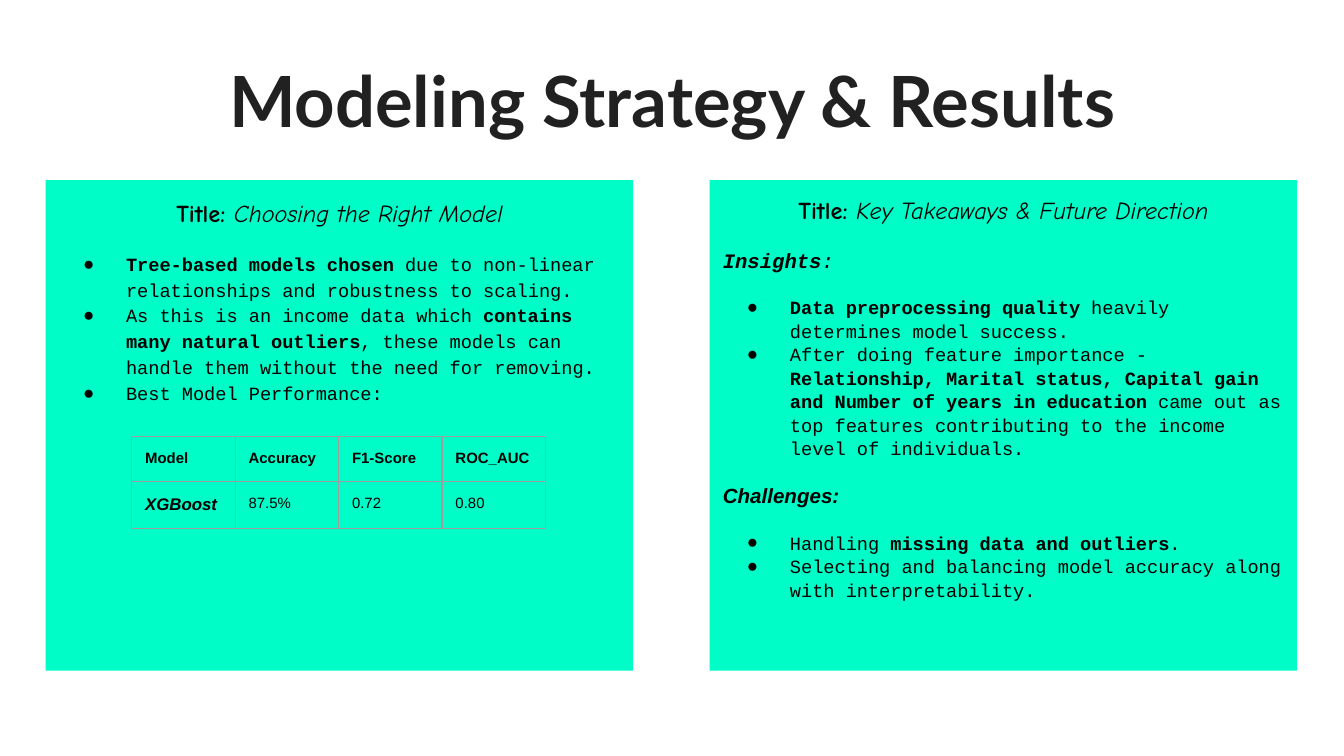
from lxml.etree import SubElement
from pptx import Presentation
from pptx.dml.color import RGBColor
from pptx.enum.shapes import MSO_SHAPE as SHAPE
from pptx.enum.text import MSO_ANCHOR as ANCHOR, PP_ALIGN as ALIGN
from pptx.oxml.ns import qn
from pptx.util import Inches, Pt

COLORS = {"title": "212121", "text": "000000", "panel": "00FDC8", "border": "9E9E9E"}
MONO = "Courier New"


def write(frame, spans, first=False, size=10, font=MONO, color="text",
          align=ALIGN.LEFT, spacing=1.0, before=0, bullet=False):
    """Add one paragraph; spans are (text, style), style holding b and/or i."""
    para = frame.paragraphs[0] if first else frame.add_paragraph()
    para.alignment = align
    para.line_spacing = spacing
    para.space_before = Pt(before)
    if bullet:
        props = para._p.get_or_add_pPr()
        props.set("marL", str(Inches(0.5)))
        props.set("indent", str(Inches(-0.32)))
        bullet_color = SubElement(props, qn("a:buClr"))
        SubElement(bullet_color, qn("a:srgbClr"), val=COLORS[color])
        SubElement(props, qn("a:buFont"), typeface="Arial")
        SubElement(props, qn("a:buChar"), char="●")
    for text, style in spans:
        span = para.add_run()
        span.text = text
        span.font.size = Pt(size)
        span.font.name = font
        span.font.bold = "b" in style
        span.font.italic = "i" in style
        span.font.color.rgb = RGBColor.from_string(COLORS[color])


def set_frame(frame):
    """Wrap the text, start it at the top and give it equal insets."""
    frame.word_wrap = True
    frame.vertical_anchor = ANCHOR.TOP
    frame.margin_left = frame.margin_right = Inches(0.1)
    frame.margin_top = frame.margin_bottom = Inches(0.1)


# Widescreen page, 16:9
deck = Presentation()
deck.slide_width, deck.slide_height = Inches(10), Inches(10 * 9 / 16)
page = deck.slides.add_slide(deck.slide_layouts[6])

# Page title
box = page.shapes.add_textbox(Inches(0.34), Inches(0.32), Inches(9.32), Inches(0.88))
set_frame(box.text_frame)
write(box.text_frame, [("Modeling Strategy & Results", "b")], first=True,
      size=37.8, font="Lato", color="title", align=ALIGN.CENTER)

# Panels: left edge, line spacing, heading, then paragraphs with their format
item = {"bullet": True}
first_item = {"bullet": True, "before": 12}
panels = [
    (0.34, 1.15, "Choosing the Right Model", [
        ([("Tree-based models chosen", "b"),
          (" due to non-linear relationships and robustness to scaling.", "")], first_item),
        ([("As this is an income data which ", ""), ("contains many natural outliers", "b"),
          (", these models can handle them without the need for removing.", "")], item),
        ([("Best Model Performance:", "")], item),
    ]),
    (5.28, 1.05, "Key Takeaways & Future Direction", [
        ([("Insights", "bi"), (":", "i")], {"size": 11, "before": 12}),
        ([("Data preprocessing quality", "b"),
          (" heavily determines model success.", "")], first_item),
        ([("After doing feature importance - ", ""),
          ("Relationship, Marital status, Capital gain and Number of years in education", "b"),
          (" came out as top features contributing to the income level of individuals.", "")],
         item),
        ([("Challenges:", "bi")], {"size": 11, "font": "Arial", "before": 12}),
        ([("Handling ", ""), ("missing data and outliers", "b"), (".", "")], first_item),
        ([("Selecting and balancing model accuracy along with interpretability.", "")], item),
    ]),
]
for left, spacing, heading, paragraphs in panels:
    panel = page.shapes.add_shape(SHAPE.RECTANGLE, Inches(left), Inches(1.34),
                                  Inches(4.37), Inches(3.65))
    panel.shadow.inherit = False
    panel.fill.solid()
    panel.fill.fore_color.rgb = RGBColor.from_string(COLORS["panel"])
    panel.line.fill.background()
    set_frame(panel.text_frame)
    write(panel.text_frame, [("Title: ", "b"), (heading, "i")], first=True, size=13,
          font="Comic Neue", align=ALIGN.CENTER, spacing=spacing)
    for spans, options in paragraphs:
        write(panel.text_frame, spans, spacing=spacing, **options)

# Model performance table; rows grow to fit their text
rows = [
    [("Model", "b", 8), ("Accuracy", "b", 8), ("F1-Score", "b", 8), ("ROC_AUC", "b", 8)],
    [("XGBoost", "bi", 9), ("87.5%", "", 8), ("0.72", "", 8), ("0.80", "", 8)],
]
column_width, row_heights = 0.77, [0.21, 0.19]
table = page.shapes.add_table(len(rows), len(rows[0]), Inches(0.98), Inches(3.25),
                              Inches(column_width * len(rows[0])),
                              Inches(sum(row_heights))).table
table.first_row = table.horz_banding = False
for column in table.columns:
    column.width = Inches(column_width)
for row, height, values in zip(table.rows, row_heights, rows):
    row.height = Inches(height)
    for cell, (text, style, size) in zip(row.cells, values):
        cell.margin_left = cell.margin_right = Inches(0.1)
        cell.margin_top = cell.margin_bottom = Inches(0.1)
        write(cell.text_frame, [(text, style)], first=True, size=size, font="Arial")
        props = cell._tc.get_or_add_tcPr()
        for side in ("lnL", "lnR", "lnT", "lnB"):
            border = SubElement(props, qn(f"a:{side}"), w=str(Pt(0.75)))
            fill = SubElement(border, qn("a:solidFill"))
            SubElement(fill, qn("a:srgbClr"), val=COLORS["border"])
        cell.fill.background()

deck.save("out.pptx")
